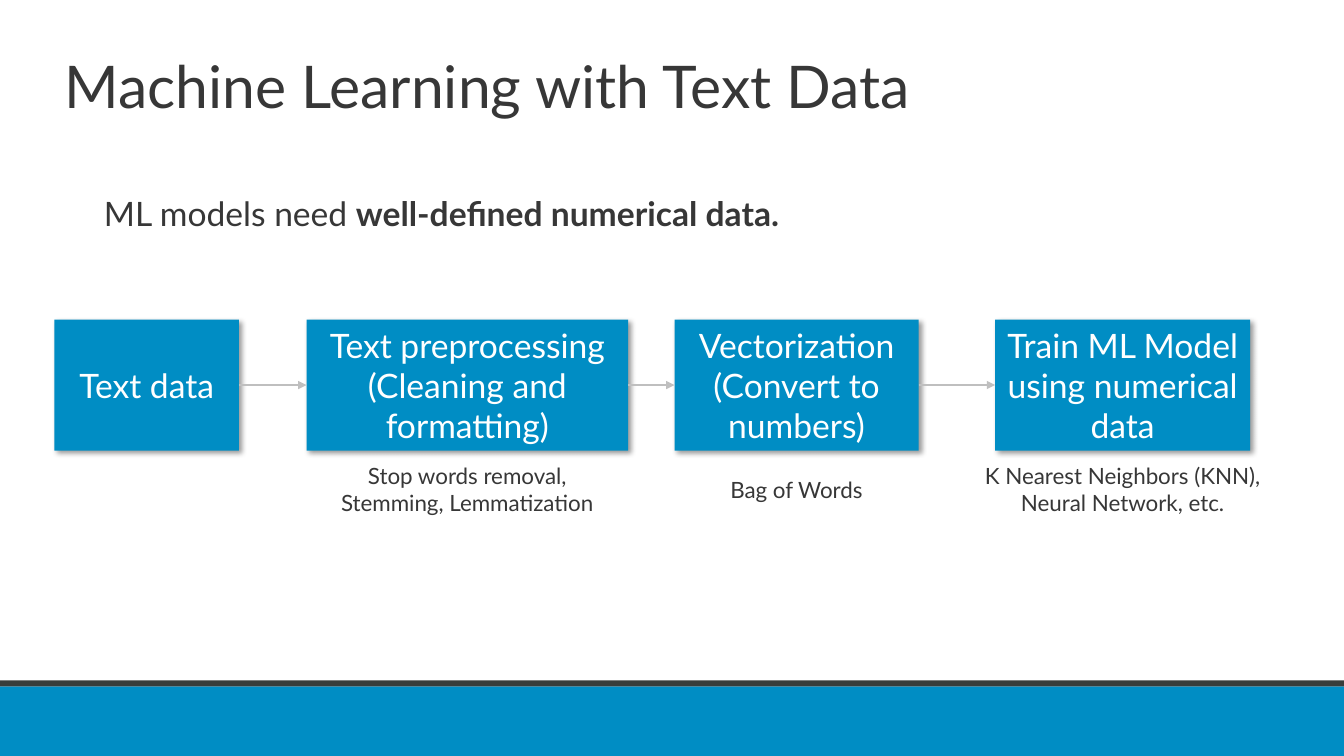
from lxml import etree
from pptx import Presentation
from pptx.dml.color import RGBColor
from pptx.enum.shapes import MSO_CONNECTOR, MSO_SHAPE
from pptx.enum.text import MSO_ANCHOR, MSO_AUTO_SIZE, PP_ALIGN
from pptx.oxml import parse_xml
from pptx.oxml.ns import nsdecls, qn
from pptx.util import Inches, Pt

RECTANGLE = MSO_SHAPE.RECTANGLE
STRAIGHT = MSO_CONNECTOR.STRAIGHT
TOP, MIDDLE = MSO_ANCHOR.TOP, MSO_ANCHOR.MIDDLE
NO_AUTOFIT, GROW = MSO_AUTO_SIZE.NONE, MSO_AUTO_SIZE.SHAPE_TO_FIT_TEXT
LEFT, CENTER = PP_ALIGN.LEFT, PP_ALIGN.CENTER
RIGHT_SITE, LEFT_SITE = 3, 1

FONT = "Lato"
WIDTH, HEIGHT = 13.33, 7.5
COLORS = {
    "blue": "008DC4",
    "charcoal": "383D3B",
    "text": "373737",
    "white": "FFFFFF",
    "arrow": "BFBFBF",
    "shadow": "000000",
}

STEPS = [
    (0.54, 1.83, ["Text data"], [], 0),
    (3.04, 3.19, ["Text preprocessing", "(Cleaning and formatting)"],
     ["Stop words removal,", "Stemming, Lemmatization"], 2.9),
    (6.69, 2.42, ["Vectorization", "(Convert to numbers)"], ["Bag of Words"], 1.57),
    (9.87, 2.53, ["Train ML Model using numerical data"],
     ["K Nearest Neighbors (KNN),", "Neural Network, etc."], 3.0),
]


def color(name):
    """Return the named colour of the palette."""
    return RGBColor.from_string(COLORS[name])


def place(shape, box):
    """Move and size a shape to a box given in inches."""
    shape.left, shape.top, shape.width, shape.height = map(Inches, box)


def write(shape, lines, size=24, fill="text", align=LEFT, anchor=TOP,
          wrap=True, fit=NO_AUTOFIT, spacing=None):
    """Fill a shape with lines, each a string or a list of (text, bold) runs."""
    frame = shape.text_frame
    frame.word_wrap, frame.auto_size, frame.vertical_anchor = wrap, fit, anchor
    for index, line in enumerate(lines):
        paragraph = frame.add_paragraph() if index else frame.paragraphs[0]
        paragraph.alignment = align
        if spacing:
            paragraph.line_spacing = spacing
            paragraph.space_before = Pt(0)
        for text, bold in [(line, False)] if isinstance(line, str) else line:
            run = paragraph.add_run()
            run.text = text
            run.font.name, run.font.size, run.font.bold = FONT, Pt(size), bold
            run.font.color.rgb = color(fill)


def add_block(slide, box, fill):
    """Add a flat rectangle without an outline."""
    shape = slide.shapes.add_shape(RECTANGLE, *map(Inches, box))
    shape.shadow.inherit = False
    shape.fill.solid()
    shape.fill.fore_color.rgb = color(fill)
    shape.line.fill.background()
    return shape


def add_footer(slide, box):
    """Add the blue footer band with its dark top rule."""
    left, top, width, height = box
    rule = 0.06
    add_block(slide, (left, top + rule, width, height - rule), "blue")
    add_block(slide, (left, top, width, rule), "charcoal")


def add_title(slide, box):
    """Place the slide title."""
    title = slide.shapes.title
    place(title, box)
    write(title, ["Machine Learning with Text Data"], size=42, spacing=0.9)


def add_statement(slide, box):
    """Place the body statement, without a bullet, one line below the box top."""
    body = slide.placeholders[1]
    place(body, box)
    body.text_frame.margin_top = Inches(0.55)
    properties = body.text_frame.paragraphs[0]._p.get_or_add_pPr()
    properties.set("marL", "0")
    properties.set("indent", "0")
    etree.SubElement(properties, qn("a:buNone"))
    write(body, [[("ML models need ", False), ("well-defined numerical data.", True)]],
          spacing=0.9)


def add_step(slide, box, lines):
    """Add one shadowed process box."""
    step = add_block(slide, box, "blue")
    effects = step._element.spPr.find(qn("a:effectLst"))
    effects.append(parse_xml(
        f'<a:outerShdw {nsdecls("a")} blurRad="{Pt(4)}" dist="{Pt(3)}" dir="2700000" '
        f'algn="tl" rotWithShape="0"><a:srgbClr val="{COLORS["shadow"]}">'
        '<a:alpha val="40000"/></a:srgbClr></a:outerShdw>'))
    write(step, lines, fill="white", align=CENTER, anchor=MIDDLE)
    return step


def add_caption(slide, center, middle, width, lines):
    """Add a caption centred on a point."""
    height = 0.1 + 0.27 * len(lines)
    box = (center - width / 2, middle - height / 2, width, height)
    caption = slide.shapes.add_textbox(*map(Inches, box))
    write(caption, lines, size=16, align=CENTER, wrap=False, fit=GROW)


def add_arrow(slide, start, end):
    """Connect two steps with an arrow."""
    arrow = slide.shapes.add_connector(STRAIGHT, 0, 0, 0, 0)
    arrow.begin_connect(start, RIGHT_SITE)
    arrow.end_connect(end, LEFT_SITE)
    arrow.line.color.rgb = color("arrow")
    arrow.line.width = Pt(1.75)
    etree.SubElement(arrow.line._get_or_add_ln(), qn("a:tailEnd"), type="triangle")
    etree.SubElement(arrow._element.spPr, qn("a:effectLst"))


def add_pipeline(slide, top, height):
    """Add the row of steps with arrows and captions."""
    previous = None
    for left, width, lines, caption, caption_width in STEPS:
        step = add_step(slide, (left, top, width, height), lines)
        if previous:
            add_arrow(slide, previous, step)
        if caption:
            add_caption(slide, left + width / 2, top + height + 0.39,
                        caption_width, caption)
        previous = step


def main():
    """Build and save the presentation."""
    presentation = Presentation()
    presentation.slide_width, presentation.slide_height = Inches(WIDTH), Inches(HEIGHT)
    slide = presentation.slides.add_slide(presentation.slide_layouts[1])
    add_footer(slide, (0, 6.75, WIDTH, 0.75))
    add_title(slide, (0.54, 0.52, 11.5, 1.09))
    add_statement(slide, (0.93, 1.41, 11.86, 5.33))
    add_pipeline(slide, 3.17, 1.3)
    presentation.save("out.pptx")


if __name__ == "__main__":
    main()
